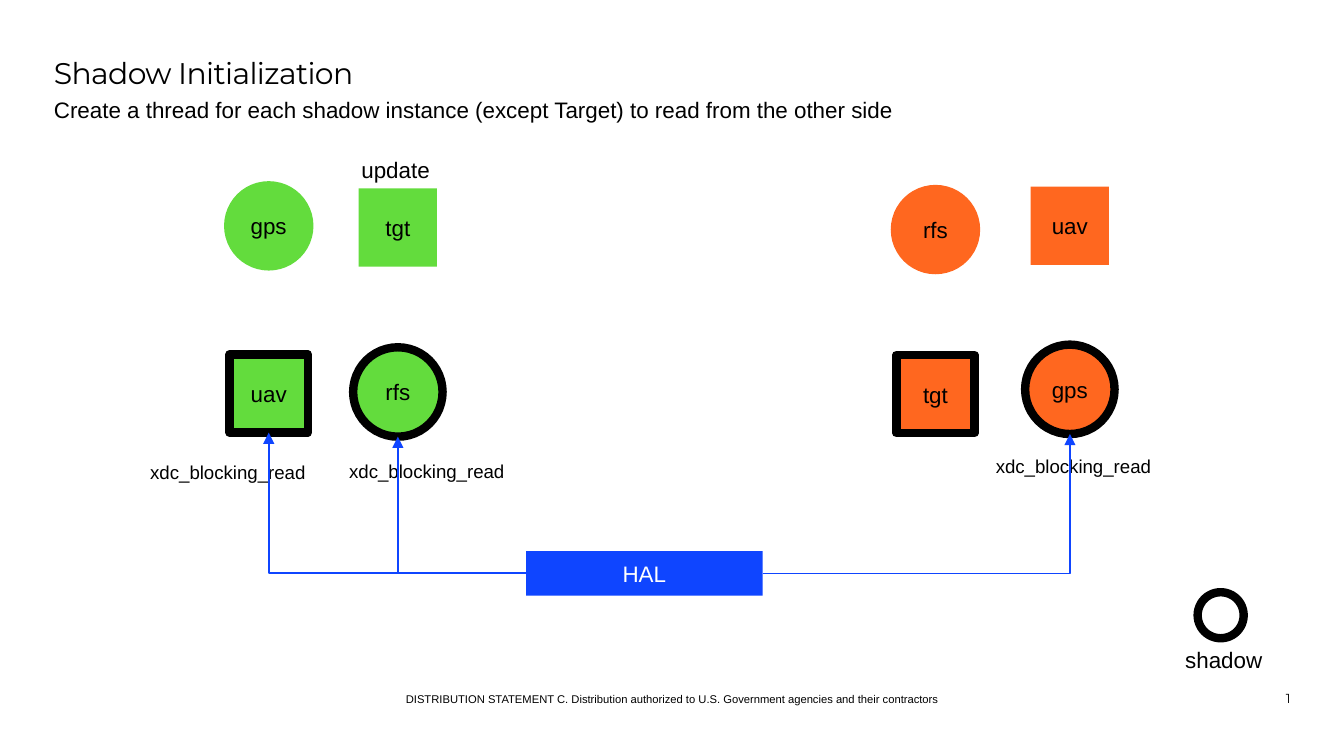
"""Build the Shadow Initialization slide."""
from dataclasses import dataclass

from lxml.etree import SubElement
from pptx import Presentation
from pptx.dml.color import RGBColor
from pptx.enum.shapes import MSO_CONNECTOR, MSO_SHAPE
from pptx.enum.text import MSO_ANCHOR, PP_ALIGN
from pptx.oxml.ns import qn
from pptx.shapes.autoshape import Shape
from pptx.shapes.connector import Connector
from pptx.slide import Slide
from pptx.util import Cm, Pt

BLACK, WHITE, BLUE = "000000", "FFFFFF", "0F45FF"
GREEN, ORANGE = "63DC3D", "FF671F"
CIRCLE, SQUARE = 1.69, 1.48


@dataclass(frozen=True)
class Label:
    text: str
    left: float
    top: float
    width: float
    height: float = 0.64
    size: float = 12
    font: str = "Arial"
    align: PP_ALIGN = PP_ALIGN.LEFT
    anchor: MSO_ANCHOR = MSO_ANCHOR.TOP
    spacing: int = 0


@dataclass(frozen=True)
class Node:
    text: str
    x: float
    y: float
    width: float
    height: float
    fill: str
    kind: MSO_SHAPE = MSO_SHAPE.RECTANGLE
    shadow: bool = False
    color: str = BLACK

    @property
    def bottom(self) -> float:
        return self.y + self.height / 2


def rgb(value: str) -> RGBColor:
    """Turn a hex string into a colour."""
    return RGBColor.from_string(value)


def apply(target: object, values: dict) -> None:
    """Set each named attribute on the target."""
    for name, value in values.items():
        setattr(target, name, value)


def stroke(s: Shape | Connector, color: str, width: float, arrow: bool = False) -> None:
    """Give a round-joined line, with an arrowhead at its end if asked."""
    s.line.color.rgb = rgb(color)
    s.line.width = Pt(width)
    ln = s.element.find(".//" + qn("a:ln"))
    SubElement(ln, qn("a:round"))
    if arrow:
        SubElement(ln, qn("a:tailEnd"), type="triangle")


def write(s: Shape, text: str, size: float, font: str, color: str,
          align: PP_ALIGN, frame: dict) -> None:
    """Put one formatted run in the shape."""
    tf = s.text_frame
    apply(tf, {"word_wrap": True, **frame})
    p = tf.paragraphs[0]
    p.alignment = align
    r = p.add_run()
    r.text = text
    apply(r.font, {"size": Pt(size), "name": font})
    r.font.color.rgb = rgb(color)


def draw_label(slide: Slide, label: Label) -> None:
    """Draw a text box without insets."""
    s = slide.shapes.add_textbox(Cm(label.left), Cm(label.top), Cm(label.width), Cm(label.height))
    margins = {f"margin_{side}": 0 for side in ("left", "top", "right", "bottom")}
    write(s, label.text, label.size, label.font, BLACK, label.align,
          {"vertical_anchor": label.anchor, **margins})
    if label.spacing:
        for props in s.element.iter(qn("a:rPr")):
            props.set("spc", str(label.spacing))


def draw_node(slide: Slide, node: Node) -> None:
    """Draw a filled shape around its centre, ringed if it is a shadow."""
    s = slide.shapes.add_shape(node.kind, Cm(node.x - node.width / 2), Cm(node.y - node.height / 2),
                               Cm(node.width), Cm(node.height))
    s.shadow.inherit = False
    s.fill.solid()
    s.fill.fore_color.rgb = rgb(node.fill)
    if node.shadow:
        stroke(s, BLACK, 4.5)
    else:
        s.line.fill.background()
    if node.text:
        write(s, node.text, 12, "Arial", node.color, PP_ALIGN.CENTER,
              {"vertical_anchor": MSO_ANCHOR.MIDDLE})


def draw_read(slide: Slide, hub: Node, target: Node) -> None:
    """Draw an elbow arrow from the side of the hub to the foot of a node."""
    side = 1 if target.x > hub.x else -1
    c = slide.shapes.add_connector(MSO_CONNECTOR.ELBOW, Cm(hub.x + side * hub.width / 2), Cm(hub.y),
                                   Cm(target.x), Cm(target.bottom))
    c.element.find(".//" + qn("a:prstGeom")).set("prst", "bentConnector2")
    stroke(c, BLUE, 1, arrow=True)
    SubElement(c.element.find(qn("p:spPr")), qn("a:effectLst"))


def circle(text: str, x: float, y: float, fill: str, shadow: bool = False,
           size: float = CIRCLE) -> Node:
    """Describe a round node."""
    return Node(text, x, y, size, size, fill, MSO_SHAPE.OVAL, shadow)


def square(text: str, x: float, y: float, fill: str, shadow: bool = False) -> Node:
    """Describe a square node."""
    return Node(text, x, y, SQUARE, SQUARE, fill, shadow=shadow)


COLUMNS = (5.08, 7.52, 17.68, 20.22)
HAL = Node("HAL", 12.18, 10.84, 4.47, 0.84, BLUE, color=WHITE)
READERS = (
    circle("gps", COLUMNS[3], 7.36, ORANGE, True),
    circle("rfs", COLUMNS[1], 7.41, GREEN, True),
    square("uav", COLUMNS[0], 7.44, GREEN, True),
)
NODES = (
    circle("gps", COLUMNS[0], 4.27, GREEN),
    square("tgt", COLUMNS[1], 4.3, GREEN),
    circle("rfs", COLUMNS[2], 4.34, ORANGE),
    square("uav", COLUMNS[3], 4.27, ORANGE),
    square("tgt", COLUMNS[2], 7.45, ORANGE, True),
    circle("", 23.07, 11.63, WHITE, True, 0.87),
    HAL,
    *READERS,
)
LABELS = (
    Label("Shadow Initialization", 1.02, 1.04, 23.37, 0.76, 16, "Montserrat", spacing=-30),
    Label("Create a thread for each shadow instance (except Target) to read from the other side",
          1.02, 1.82, 23.37),
    Label("DISTRIBUTION STATEMENT C. Distribution authorized to U.S. Government agencies "
          "and their contractors", 4.7, 12.83, 16, 0.51, 6,
          align=PP_ALIGN.CENTER, anchor=MSO_ANCHOR.BOTTOM),
    Label("1", 23.37, 12.83, 1.02, 0.51, 7, "Montserrat", PP_ALIGN.RIGHT, MSO_ANCHOR.BOTTOM),
    Label("update", 6.83, 2.95, 1.42, 0.51),
    Label("shadow", 22.4, 12.22, 1.93),
    *(Label("xdc_blocking_read", left, top, 3, size=10)
      for left, top in ((2.84, 8.71), (6.6, 8.69), (18.82, 8.59))),
)


def main() -> None:
    """Build and save the slide."""
    prs = Presentation()
    apply(prs, {"slide_width": Cm(25.4), "slide_height": Cm(14.29)})
    slide = prs.slides.add_slide(prs.slide_layouts[6])
    for node in NODES:
        draw_node(slide, node)
    for label in LABELS:
        draw_label(slide, label)
    for reader in READERS:
        draw_read(slide, HAL, reader)
    prs.save("out.pptx")


if __name__ == "__main__":
    main()
